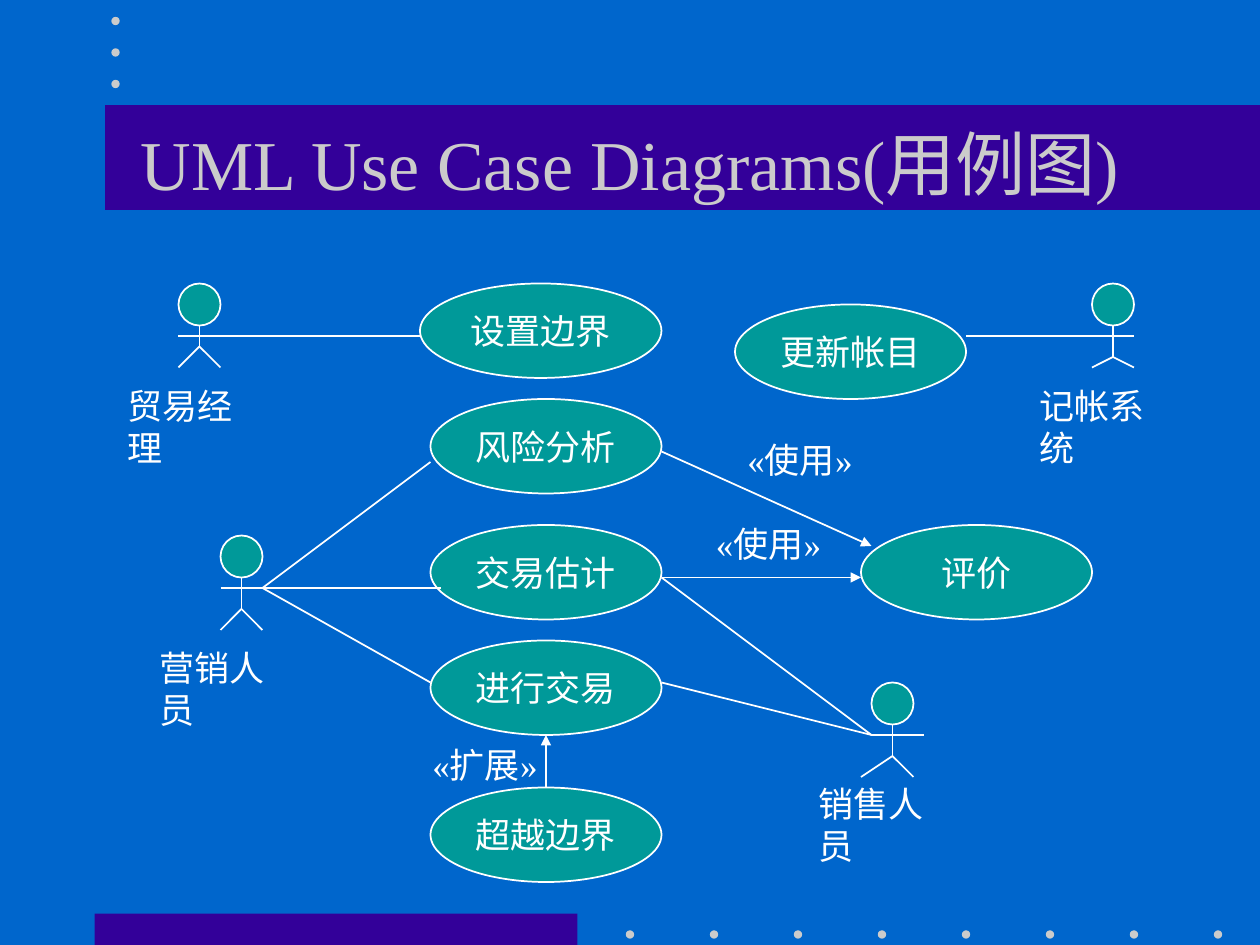
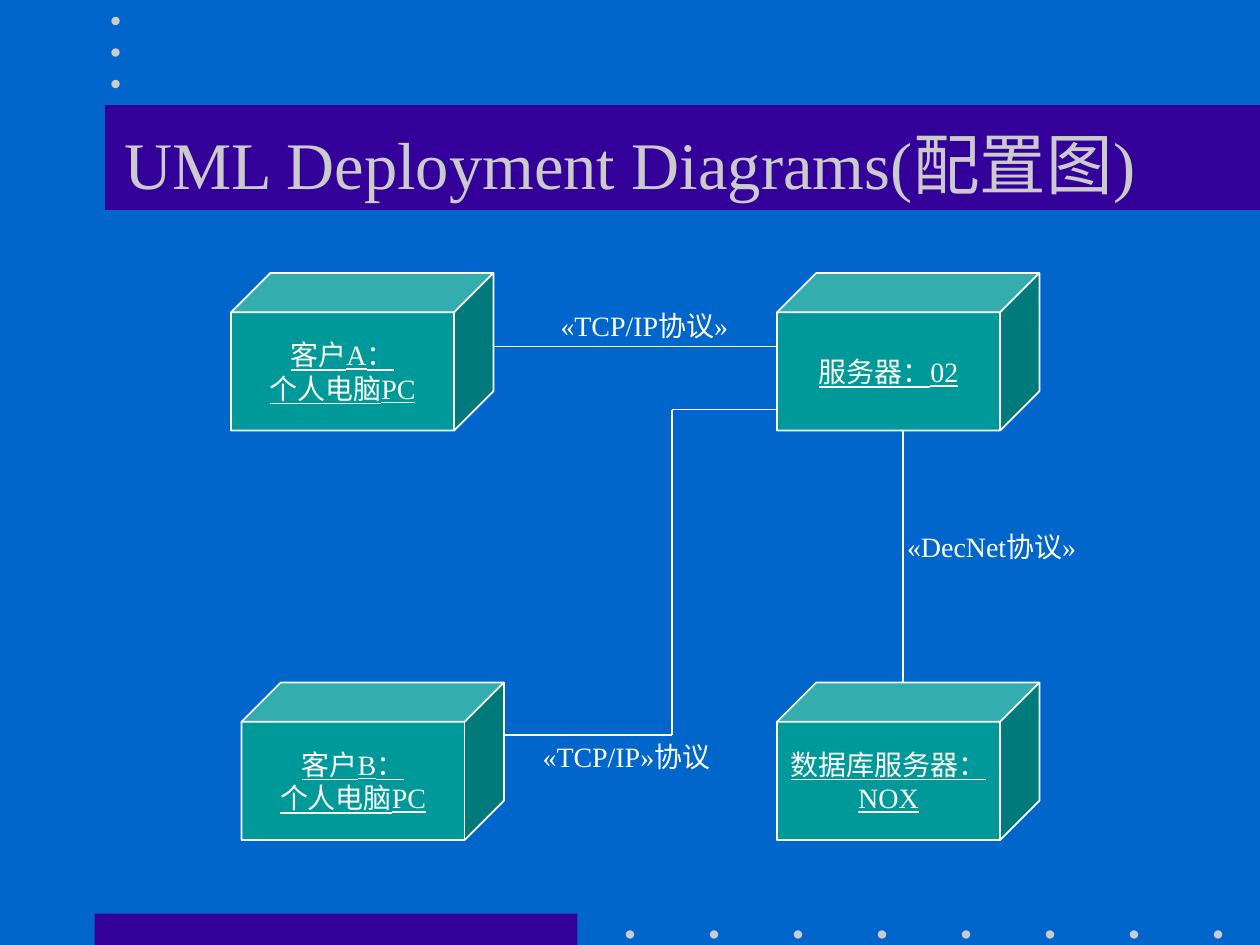
from lxml import etree
from pptx import Presentation
from pptx.dml.color import RGBColor
from pptx.enum.shapes import MSO_CONNECTOR, MSO_SHAPE
from pptx.enum.text import MSO_ANCHOR, MSO_AUTO_SIZE, PP_ALIGN
from pptx.oxml.ns import qn
from pptx.util import Emu, Pt

RECT = MSO_SHAPE.RECTANGLE
ELLIPSE = MSO_SHAPE.OVAL
CUBE = MSO_SHAPE.CUBE
STRAIGHT = MSO_CONNECTOR.STRAIGHT
LEFT = PP_ALIGN.LEFT
CENTER = PP_ALIGN.CENTER
TOP = MSO_ANCHOR.TOP
MIDDLE = MSO_ANCHOR.MIDDLE
FIT = MSO_AUTO_SIZE.SHAPE_TO_FIT_TEXT

PX_PER_INCH = 120
FONT = "Times New Roman"
COLORS = {
    "background": "0066CC",
    "band": "330099",
    "title": "CBCBCB",
    "dot": "CBCBCB",
    "node": "009999",
    "line": "FFFFFF",
    "text": "FFFFFF",
}


def px(*lengths):
    return [Emu(n * 914400 // PX_PER_INCH) for n in lengths]


def color(name):
    return RGBColor.from_string(COLORS[name])


def write(sp, text, size=20, fill="text", align=CENTER, anchor=MIDDLE, underline=None):
    tf = sp.text_frame
    tf.word_wrap = False
    tf.vertical_anchor = anchor
    for i, line in enumerate(text.split("\n")):
        p = tf.add_paragraph() if i else tf.paragraphs[0]
        p.alignment = align
        r = p.add_run()
        r.text = line
        r.font.name = FONT
        r.font.size = Pt(size)
        r.font.underline = underline
        r.font.color.rgb = color(fill)


def add_shape(s, kind, box, fill, outlined=False):
    sp = s.shapes.add_shape(kind, *px(*box))
    sp.shadow.inherit = False
    sp.fill.solid()
    sp.fill.fore_color.rgb = color(fill)
    if outlined:
        sp.line.color.rgb = color("line")
        sp.line.width = Pt(1)
    else:
        sp.line.fill.background()
    return sp


def add_line(s, start, end, arrow=False):
    cx = s.shapes.add_connector(STRAIGHT, *px(*start, *end))
    cx.line.color.rgb = color("line")
    cx.line.width = Pt(1)
    if arrow:
        etree.SubElement(cx.line._get_or_add_ln(), qn("a:tailEnd"), type="triangle")
    etree.SubElement(cx._element.spPr, qn("a:effectLst"))


def add_label(s, text, box, size=20):
    sp = s.shapes.add_textbox(*px(*box))
    write(sp, text, size, align=LEFT, anchor=TOP)
    sp.text_frame.auto_size = FIT


def add_use_case(s, text, x, y, width=220):
    sp = add_shape(s, ELLIPSE, (x, y, width, 90), "node", outlined=True)
    write(sp, text)


def add_actor(s, x, y, hip=70, feet=90, left_foot=0, right_hand=40):
    mid = x + 20
    add_shape(s, ELLIPSE, (x, y, 40, 40), "node", outlined=True)
    add_line(s, (mid, y + 40), (mid, y + hip))
    for foot in (x + left_foot, x + 40):
        add_line(s, (mid, y + hip), (foot, y + feet))
    add_line(s, (x, y + 50), (x + right_hand, y + 50))


def add_node(s, text, x, y):
    sp = add_shape(s, CUBE, (x, y, 250, 150), "node", outlined=True)
    sp.adjustments[0] = 0.25
    write(sp, text, 16, underline=True)


def add_dot(s, x, y):
    add_shape(s, ELLIPSE, (x - 4, y - 4, 8, 8), "dot")


def new_slide(prs, title, size):
    s = prs.slides.add_slide(prs.slide_layouts[6])
    s.background.fill.solid()
    s.background.fill.fore_color.rgb = color("background")
    add_shape(s, RECT, (90, 870, 460, 30), "band")
    for i in range(8):
        add_dot(s, 600 + 80 * i, 890)
    add_shape(s, RECT, (100, 100, 1100, 100), "band")
    for i in range(3):
        add_dot(s, 110, 20 + 30 * i)
    write(s.shapes.add_textbox(*px(90, 80, 1020, 150)), title, size, "title")
    return s


def use_case_slide(prs):
    s = new_slide(prs, "UML Use Case Diagrams(用例图)", 40)

    add_use_case(s, "设置边界", 400, 270, 230)
    for text, x, y in (
        ("风险分析", 410, 380),
        ("交易估计", 410, 500),
        ("进行交易", 410, 610),
        ("超越边界", 410, 750),
        ("更新帐目", 700, 290),
        ("评价", 820, 500),
    ):
        add_use_case(s, text, x, y)

    add_actor(s, 170, 270, hip=60, feet=80)
    add_actor(s, 210, 510)
    add_actor(s, 1040, 270, feet=80)
    add_actor(s, 830, 650, left_foot=-10, right_hand=50)

    marketer, seller = (250, 560), (830, 700)
    for end in ((410, 440), (420, 560), (410, 650)):
        add_line(s, marketer, end)
    for start in ((630, 550), (630, 650)):
        add_line(s, start, seller)
    add_line(s, (210, 320), (400, 320))
    add_line(s, (920, 320), (1040, 320))
    add_line(s, (630, 430), (830, 520), arrow=True)
    add_line(s, (630, 550), (820, 550), arrow=True)
    add_line(s, (520, 750), (520, 700), arrow=True)

    for text, x, y in (
        ("贸易经理", 110, 360),
        ("营销人员", 140, 610),
        ("记帐系统", 978, 360),
        ("销售人员", 768, 739),
    ):
        add_label(s, text, (x, y, 157, 53))
    for text, x, y in (
        ("«使用»", 700, 412),
        ("«使用»", 670, 492),
        ("«扩展»", 400, 702),
    ):
        add_label(s, text, (x, y, 140, 53))


def deployment_slide(prs):
    s = new_slide(prs, "UML Deployment Diagrams(配置图)", 38)

    for text, x, y in (
        ("客户A：\n个人电脑PC", 220, 260),
        ("客户B：\n个人电脑PC", 230, 650),
        ("数据库服务器：\nNOX", 740, 650),
        ("服务器：02", 740, 260),
    ):
        add_node(s, text, x, y)

    add_line(s, (470, 330), (740, 330))
    route = [(740, 390), (640, 390), (640, 700), (480, 700)]
    for start, end in zip(route, route[1:]):
        add_line(s, start, end)
    add_line(s, (860, 650), (860, 410))

    for text, x, y, width in (
        ("«TCP/IP协议»", 522, 288, 196),
        ("«TCP/IP»协议", 505, 698, 190),
        ("«DecNet协议»", 852, 498, 198),
    ):
        add_label(s, text, (x, y, width, 44), 16)


def main():
    prs = Presentation()
    prs.slide_width, prs.slide_height = px(1200, 900)
    use_case_slide(prs)
    deployment_slide(prs)
    prs.save("out.pptx")


if __name__ == "__main__":
    main()
